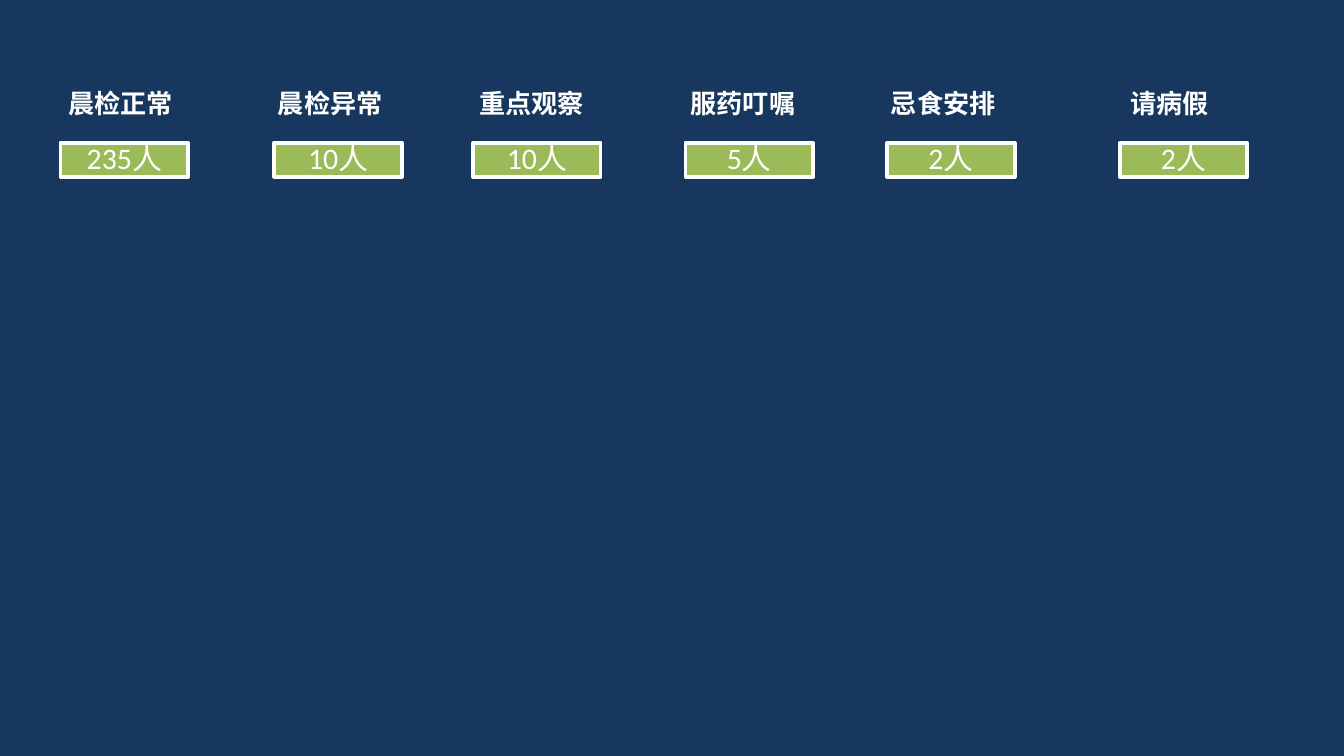
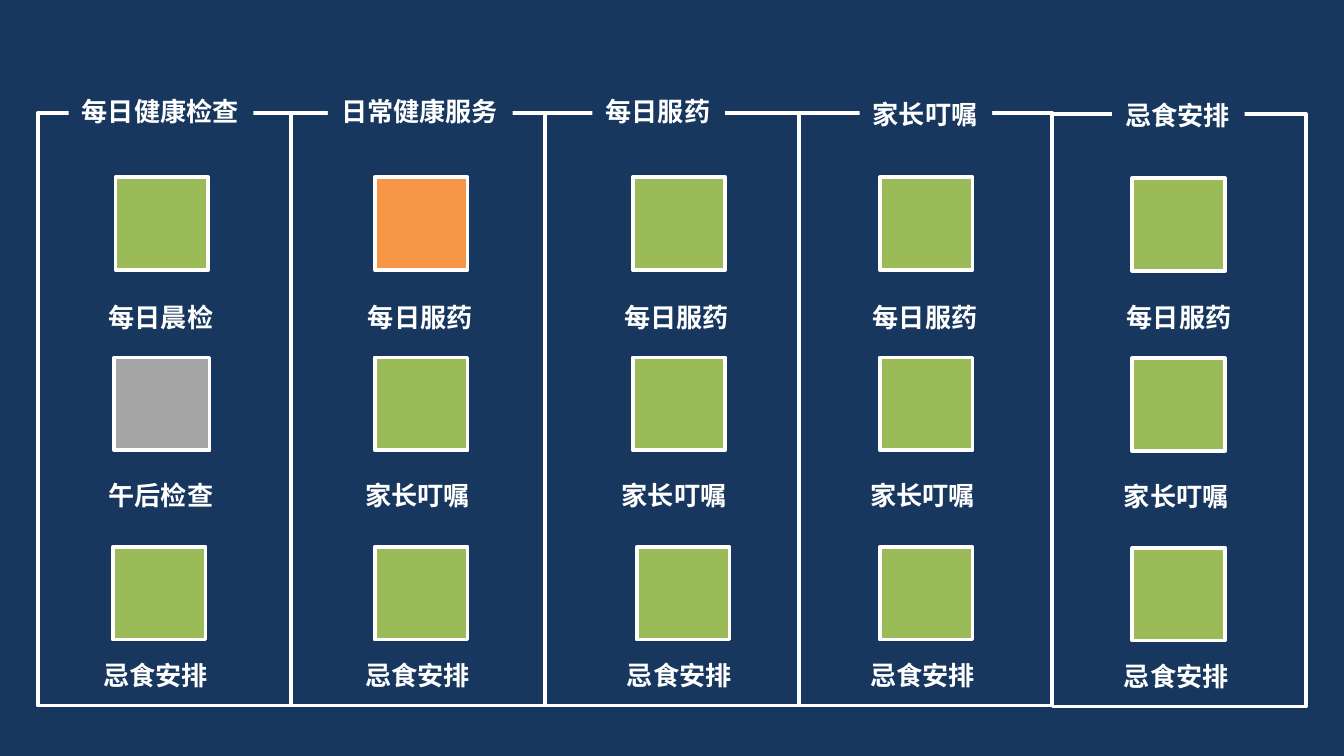
from dataclasses import dataclass

from lxml import etree
from pptx import Presentation
from pptx.dml.color import RGBColor
from pptx.enum import shapes, text
from pptx.oxml.ns import qn
from pptx.util import Pt

NAVY = RGBColor(0x17, 0x37, 0x5E)
GREEN = RGBColor(0x9B, 0xBB, 0x59)
ORANGE = RGBColor(0xF7, 0x96, 0x46)
GREY = RGBColor(0xA6, 0xA6, 0xA6)
WHITE = RGBColor(0xFF, 0xFF, 0xFF)

PAGE_WIDTH, PAGE_HEIGHT = 720, 405
LABEL_FONT, COUNT_FONT = "Noto Sans CJK SC", "Calibri"
LABEL_HEIGHT = 24.5
BADGE_WIDTH, BADGE_HEIGHT = 68.4, 18.3
TILE_SIZE = 49.7
PANEL_LEFT, PANEL_WIDTH, PANEL_HEIGHT = 20.2, 135.9, 317.5
TILE_TOPS = (34.5, 131, 232.5)
CAPTION_TOPS = (97.2, 192.9, 289.4)


@dataclass
class Column:
    """One panel; all offsets are measured from its top left corner."""
    title: str
    title_at: tuple
    tile_lefts: tuple
    caption_lefts: tuple
    captions: tuple = ("每日服药", "家长叮嘱", "忌食安排")
    colours: tuple = (GREEN, GREEN, GREEN)
    tile_widths: tuple = (TILE_SIZE, TILE_SIZE, TILE_SIZE)
    top: float = 60.5


# (heading, heading left, count, badge left)
COUNTS = (
    ("晨检正常", 29.5, "235人", 32.4),
    ("晨检异常", 141.8, "10人", 146.9),
    ("重点观察", 249.8, "10人", 253.4),
    ("服药叮嘱", 362.9, "5人", 367.2),
    ("忌食安排", 470.2, "2人", 475.2),
    ("请病假", 598.3, "2人", 599.8),
)

COLUMNS = (
    Column("每日健康检查", (16.5, -13), (41.7, 41, 40.3), (30.9, 30.9, 28),
           captions=("每日晨检", "午后检查", "忌食安排"),
           colours=(GREEN, GREY, GREEN),
           tile_widths=(TILE_SIZE, 51.1, TILE_SIZE)),
    Column("日常健康服务", (19.5, -13), (44.7,) * 3, (33.9, 32.4, 32.4),
           colours=(ORANGE, GREEN, GREEN)),
    Column("每日服药", (25.3, -13), (46.9, 46.9, 49.1), (35.4, 34, 36.8)),
    Column("家长叮嘱", (32.6, -11.5), (43.4,) * 3, (32.6, 31.2, 31.2)),
    Column("忌食安排", (32, -11.5), (42.8,) * 3, (32.7, 31.2, 31.2), top=61),
)


def add_rect(parent, left, top, width, height, fill=None, outlined=False):
    box = parent.add_shape(shapes.MSO_SHAPE.RECTANGLE,
                           Pt(left), Pt(top), Pt(width), Pt(height))
    box.shadow.inherit = False
    if fill is None:
        box.fill.background()
    else:
        box.fill.solid()
        box.fill.fore_color.rgb = fill
    if outlined:
        box.line.color.rgb = WHITE
        box.line.width = Pt(2)
    else:
        box.line.fill.background()
    return box


def add_span(para, words, size, font_name):
    span = para.add_run()
    span.text = words
    span.font.size = Pt(size)
    span.font.color.rgb = WHITE
    span.font.name = font_name
    return span


def add_label(page, words, left, top):
    """Bold caption on a navy patch that hides the line behind it."""
    width = 14 * len(words) + 15
    box = page.shapes.add_textbox(Pt(left), Pt(top), Pt(width), Pt(LABEL_HEIGHT))
    box.fill.solid()
    box.fill.fore_color.rgb = NAVY
    frame = box.text_frame
    frame.word_wrap = False
    frame.auto_size = text.MSO_AUTO_SIZE.SHAPE_TO_FIT_TEXT
    span = add_span(frame.paragraphs[0], words, 14, LABEL_FONT)
    span.font.bold = True
    properties = span.font._element
    etree.SubElement(properties, qn("a:ea"), typeface=LABEL_FONT)


def add_tile(page, left, top, width, height, fill, inset):
    """Group an outlined rectangle with an inner one; return the inner one."""
    group = page.shapes.add_group_shape().shapes
    add_rect(group, left, top, width, height, fill, outlined=True)
    across, down = inset
    return add_rect(group, left + across, top + down,
                    width - 2 * across, height - 2 * down, fill)


def add_badge(page, count, left, top):
    box = add_tile(page, left, top, BADGE_WIDTH, BADGE_HEIGHT, GREEN, (10.1, 2.6))
    frame = box.text_frame
    frame.word_wrap = True
    frame.vertical_anchor = text.MSO_ANCHOR.MIDDLE
    frame.margin_left = frame.margin_right = Pt(2)
    frame.margin_top = frame.margin_bottom = Pt(2)
    para = frame.paragraphs[0]
    para.alignment = text.PP_ALIGN.CENTER
    para.line_spacing = 0.9
    para.space_after = Pt(5.6)
    add_span(para, count, 16, COUNT_FONT)


def add_column(page, column, left):
    add_label(page, column.title, left + column.title_at[0],
              column.top + column.title_at[1])
    for row, caption in enumerate(column.captions):
        add_tile(page, left + column.tile_lefts[row], column.top + TILE_TOPS[row],
                 column.tile_widths[row], TILE_SIZE, column.colours[row], (7.3, 7.3))
        add_label(page, caption, left + column.caption_lefts[row],
                  column.top + CAPTION_TOPS[row])


def add_page(deck):
    page = deck.slides.add_slide(deck.slide_layouts[6])
    add_rect(page.shapes, 0, 0, PAGE_WIDTH, PAGE_HEIGHT, NAVY)
    return page


def build_counts(deck):
    page = add_page(deck)
    for heading, heading_left, count, badge_left in COUNTS:
        add_label(page, heading, heading_left, 43.2)
        add_badge(page, count, badge_left, 76.5)


def build_panels(deck):
    page = add_page(deck)
    lefts = [PANEL_LEFT + PANEL_WIDTH * i for i in range(len(COLUMNS))]
    for left, column in zip(lefts, COLUMNS):
        add_rect(page.shapes, left, column.top, PANEL_WIDTH, PANEL_HEIGHT,
                 outlined=True)
    for left, column in zip(lefts, COLUMNS):
        add_column(page, column, left)


def main():
    deck = Presentation()
    deck.slide_width, deck.slide_height = Pt(PAGE_WIDTH), Pt(PAGE_HEIGHT)
    build_counts(deck)
    build_panels(deck)
    deck.save("out.pptx")


if __name__ == "__main__":
    main()
